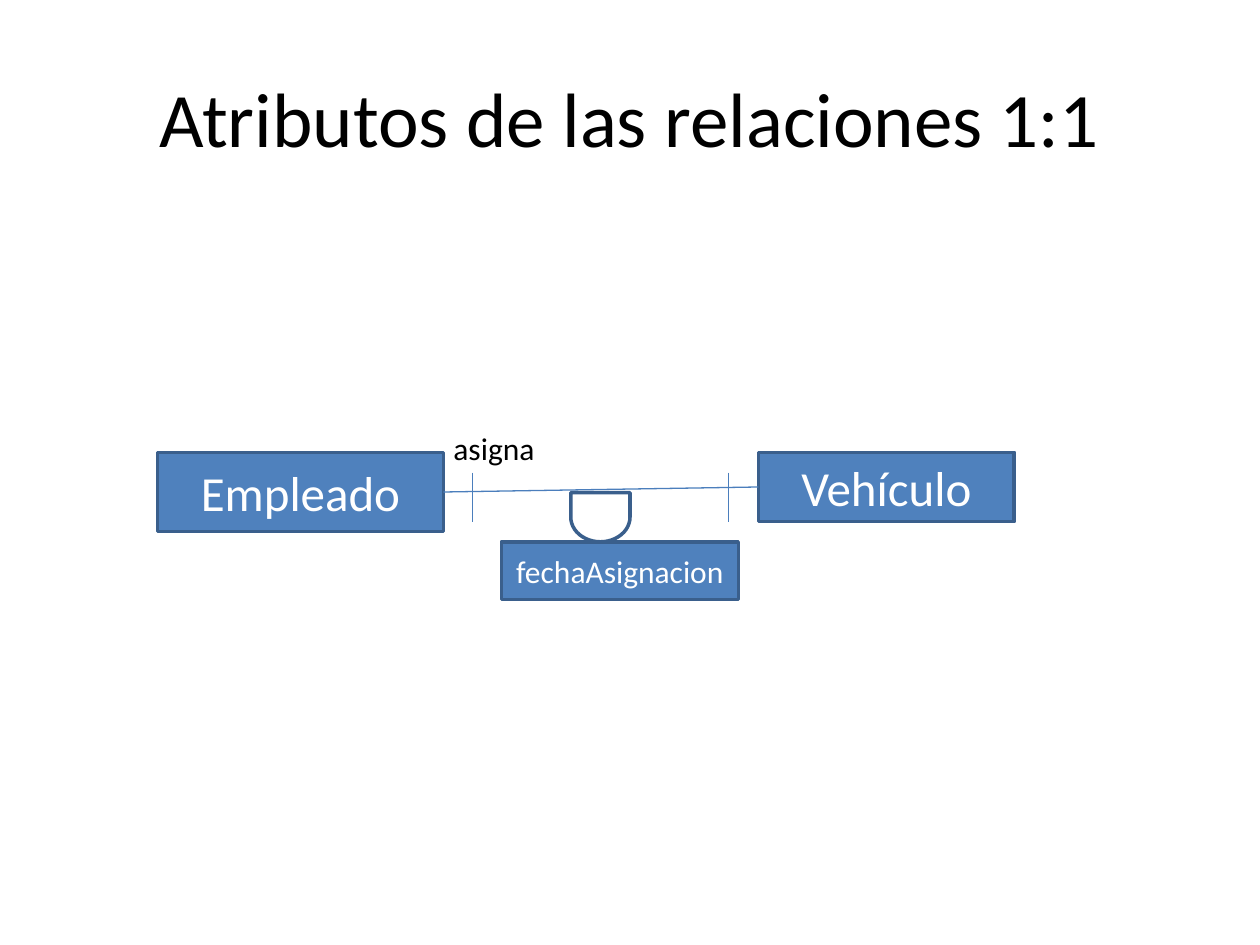
from pptx import Presentation
from pptx.dml.color import RGBColor
from pptx.enum.shapes import MSO_CONNECTOR, MSO_SHAPE
from pptx.enum.text import MSO_ANCHOR, PP_ALIGN
from pptx.oxml.ns import qn
from pptx.util import Inches, Pt
from lxml import etree

RECTANGLE = MSO_SHAPE.RECTANGLE
DELAY = MSO_SHAPE.FLOWCHART_DELAY
STRAIGHT = MSO_CONNECTOR.STRAIGHT
MIDDLE, TOP = MSO_ANCHOR.MIDDLE, MSO_ANCHOR.TOP
CENTER, LEFT = PP_ALIGN.CENTER, PP_ALIGN.LEFT

FONT = "Calibri"
COLORS = {"text": "000000", "box_text": "FFFFFF", "box": "4F81BD",
          "border": "3A5F8C", "relation": "4B7EBC"}

# text, (left, top, width, height), size, alignment, anchor
LABELS = [
    ("Atributos de las relaciones 1:1", (0.5, 0.3, 9, 1.25), 44, CENTER, MIDDLE),
    ("asigna", (3.5, 3.36, 1.42, 0.4), 18, LEFT, TOP),
]
# text, (left, top, width, height), size
EMPLOYEE = ("Empleado", (1.25, 3.59, 2.27, 0.63), 28)
VEHICLE = ("Vehículo", (6.02, 3.59, 2.03, 0.55), 28)
ATTRIBUTE = ("fechaAsignacion", (3.98, 4.3, 1.88, 0.46), 18)
ATTRIBUTE_LINK = (4.57, 3.87, 0.39, 0.47)
CARDINALITY_XS = (3.75, 5.78)
CARDINALITY_TOP, CARDINALITY_BOTTOM = 3.75, 4.14


def rgb(name):
    return RGBColor.from_string(COLORS[name])


def write(shape, text, size, color, align=CENTER, anchor=MIDDLE):
    frame = shape.text_frame
    frame.text = text
    frame.word_wrap = True
    frame.vertical_anchor = anchor
    paragraph = frame.paragraphs[0]
    paragraph.alignment = align
    font = paragraph.runs[0].font
    font.name, font.size = FONT, Pt(size)
    font.color.rgb = rgb(color)


def add_outlined(kind, place):
    shape = slide.shapes.add_shape(kind, *map(Inches, place))
    shape.shadow.inherit = False
    shape.line.color.rgb = rgb("border")
    shape.line.width = Pt(2)
    return shape


def add_box(text, place, size):
    box = add_outlined(RECTANGLE, place)
    box.fill.solid()
    box.fill.fore_color.rgb = rgb("box")
    write(box, text, size, "box_text")
    return box


def add_line(*ends):
    line = slide.shapes.add_connector(STRAIGHT, *map(Inches, ends))
    line.line.color.rgb = rgb("relation")
    line.line.width = Pt(0.75)
    etree.SubElement(line._element.spPr, qn("a:effectLst"))
    return line


presentation = Presentation()
presentation.slide_width, presentation.slide_height = Inches(10), Inches(7.5)
slide = presentation.slides.add_slide(presentation.slide_layouts[6])

employee = add_box(*EMPLOYEE)
vehicle = add_box(*VEHICLE)
relation = add_line(3.52, 3.91, 6.02, 3.87)
relation.begin_connect(employee, 3)
relation.end_connect(vehicle, 1)
for x in CARDINALITY_XS:
    add_line(x, CARDINALITY_TOP, x, CARDINALITY_BOTTOM)

add_box(*ATTRIBUTE)
attribute_link = add_outlined(DELAY, ATTRIBUTE_LINK)
attribute_link.rotation = 90
attribute_link.fill.background()

for text, place, size, align, anchor in LABELS:
    label = slide.shapes.add_textbox(*map(Inches, place))
    write(label, text, size, "text", align, anchor)

presentation.save("out.pptx")
